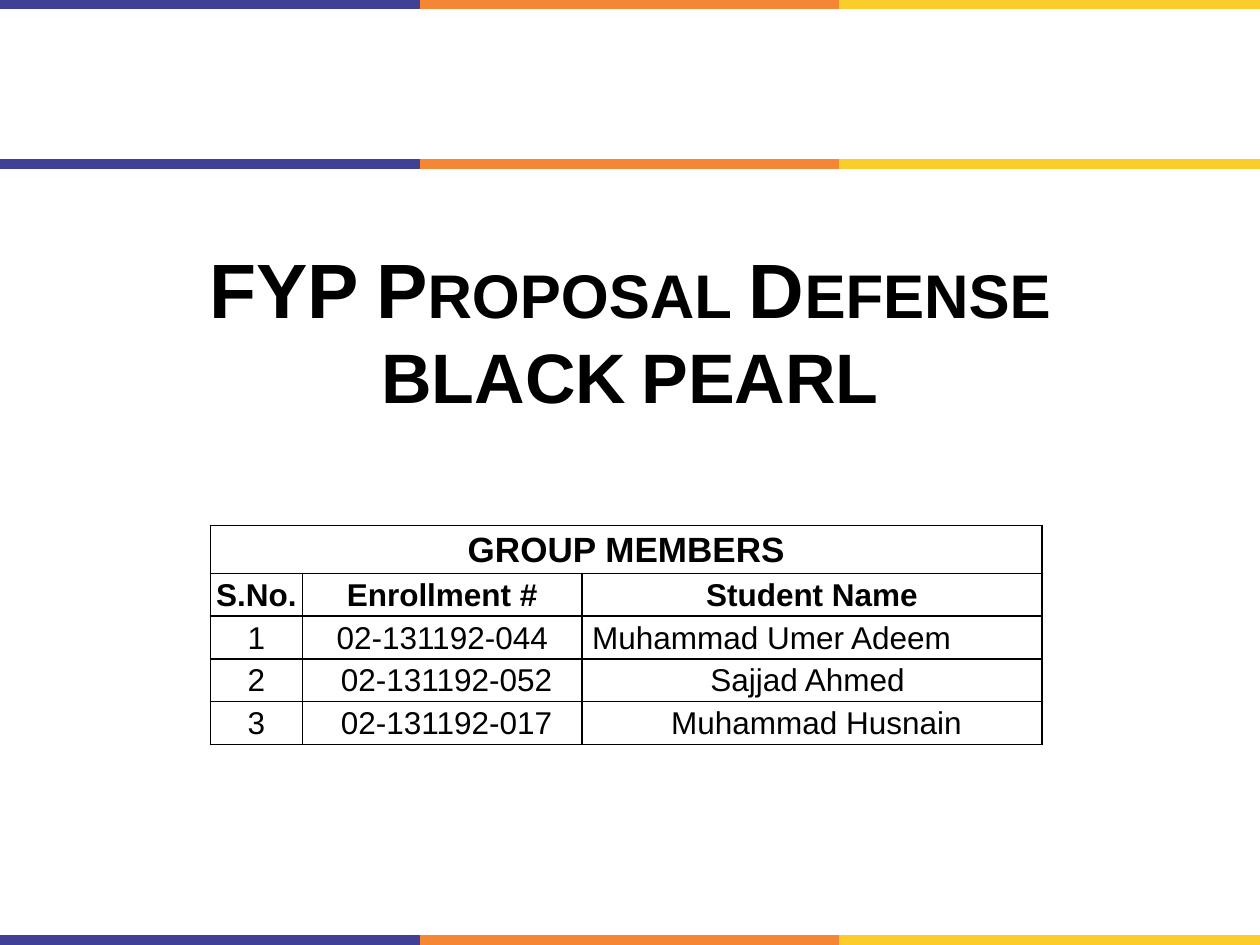
"""Build the title slide of a project proposal defense with its group members."""
from lxml.etree import SubElement
from pptx import Presentation
from pptx.dml.color import RGBColor
from pptx.enum.shapes import MSO_CONNECTOR
from pptx.enum.text import MSO_ANCHOR, MSO_AUTO_SIZE, PP_ALIGN
from pptx.oxml.ns import qn
from pptx.util import Inches, Pt

COLORS = {"blue": "404096", "orange": "F58634", "yellow": "FACD2A", "text": "000000"}
BAND_EDGES = [0, 3.33, 6.66, 10]
BAND_HEIGHTS = [0.03, 7.46, 1.3]
COLUMN_WIDTHS = [0.73, 2.22, 3.65]
ROW_HEIGHTS = [0.38] + [0.34] * 4
MEMBERS = [
    ["GROUP MEMBERS", "", ""],
    ["S.No.", "Enrollment #", "Student Name"],
    ["1", "02-131192-044", " Muhammad Umer Adeem"],
    ["2", " 02-131192-052", "Sajjad Ahmed "],
    ["3", " 02-131192-017", " Muhammad Husnain"],
]
CELL_FORMAT = {
    "margin_left": Inches(0.01),
    "margin_right": Inches(0.01),
    "margin_top": Inches(0.01),
    "margin_bottom": 0,
    "vertical_anchor": MSO_ANCHOR.MIDDLE,
}


def format_font(font, size, bold):
    values = {"name": "Arial", "size": Pt(size), "bold": bold}
    for name, value in values.items():
        setattr(font, name, value)
    font.color.rgb = RGBColor.from_string(COLORS["text"])


def add_borders(cell):
    properties = cell._tc.get_or_add_tcPr()
    for position, side in enumerate(["lnL", "lnR", "lnT", "lnB"]):
        line = properties.makeelement(qn(f"a:{side}"), {"w": str(Pt(1))})
        fill = SubElement(line, qn("a:solidFill"))
        SubElement(fill, qn("a:srgbClr"), val=COLORS["text"])
        properties.insert(position, line)


presentation = Presentation()
presentation.slide_width = Inches(10)
presentation.slide_height = Inches(7.5)
slide = presentation.slides.add_slide(presentation.slide_layouts[0])
subtitle = slide.placeholders[1].element
subtitle.getparent().remove(subtitle)

for height in BAND_HEIGHTS:
    for left, right, color in zip(BAND_EDGES, BAND_EDGES[1:], ["blue", "orange", "yellow"]):
        band = slide.shapes.add_connector(
            MSO_CONNECTOR.STRAIGHT, Inches(left), Inches(height), Inches(right), Inches(height)
        )
        band.line.width = Pt(6)
        band.line.color.rgb = RGBColor.from_string(COLORS[color])
        SubElement(band._element.spPr, qn("a:effectLst"))

title = slide.shapes.title
title_box = {"left": 0, "top": Inches(1.81), "width": Inches(10), "height": Inches(1.61)}
for name, value in title_box.items():
    setattr(title, name, value)
title.text_frame.vertical_anchor = MSO_ANCHOR.MIDDLE
title.text_frame.auto_size = MSO_AUTO_SIZE.NONE
paragraph = title.text_frame.paragraphs[0]
paragraph.alignment = PP_ALIGN.CENTER
for text, size in [("FYP Proposal Defense", 44), ("BLACK PEARL", 40)]:
    if paragraph.runs:
        paragraph.add_line_break()
    run = paragraph.add_run()
    run.text = text
    format_font(run.font, size, True)
    run.font._element.set("cap", "small")

table = slide.shapes.add_table(
    len(MEMBERS), len(COLUMN_WIDTHS), Inches(1.67), Inches(4.17),
    Inches(sum(COLUMN_WIDTHS)), Inches(sum(ROW_HEIGHTS)),
).table
table.first_row = table.horz_banding = False
for column, width in zip(table.columns, COLUMN_WIDTHS):
    column.width = Inches(width)
for row_number, (row, height) in enumerate(zip(table.rows, ROW_HEIGHTS)):
    row.height = Inches(height)
    for cell, text in zip(row.cells, MEMBERS[row_number]):
        for name, value in CELL_FORMAT.items():
            setattr(cell, name, value)
        cell.fill.background()
        add_borders(cell)
        paragraph = cell.text_frame.paragraphs[0]
        paragraph.alignment = PP_ALIGN.CENTER
        if text:
            run = paragraph.add_run()
            run.text = text
            format_font(run.font, 18 if row_number else 20, row_number < 2)
table.cell(0, 0).merge(table.cell(0, 2))
table.cell(2, 2).text_frame.paragraphs[0].alignment = PP_ALIGN.LEFT

presentation.save("out.pptx")
